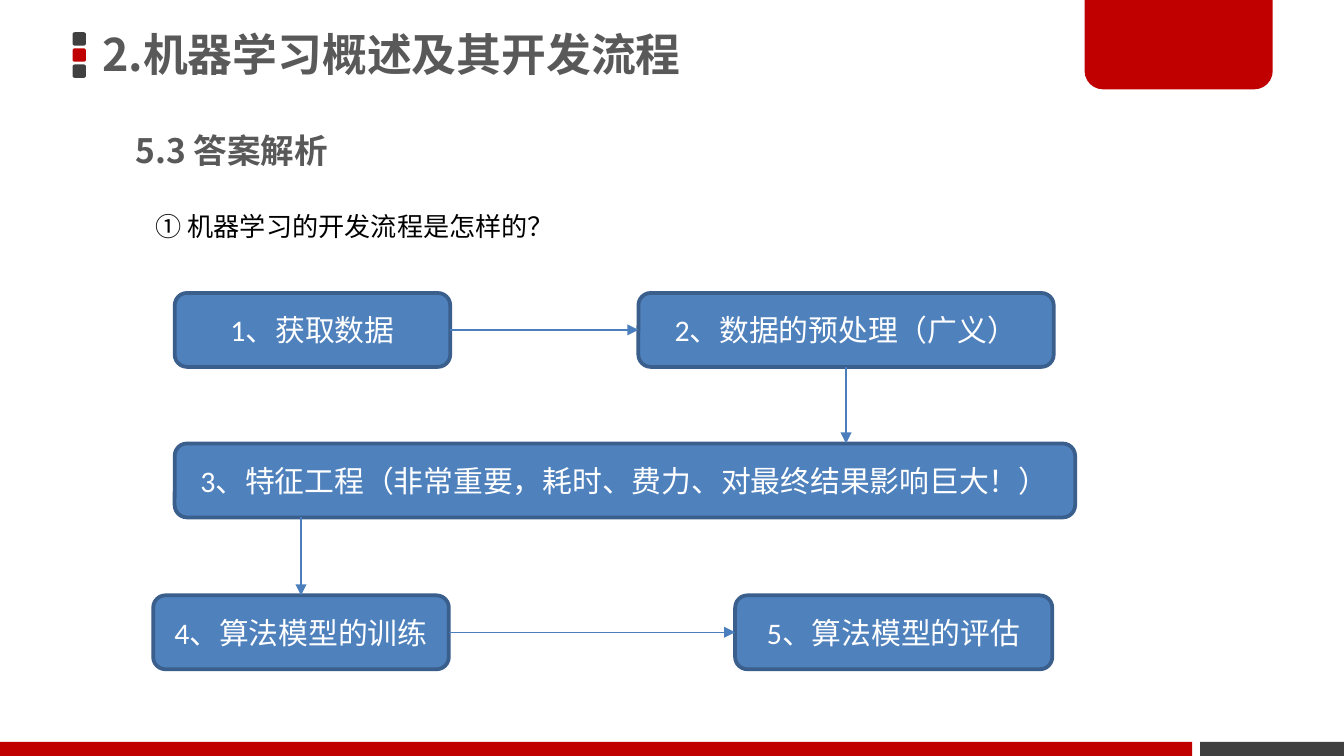
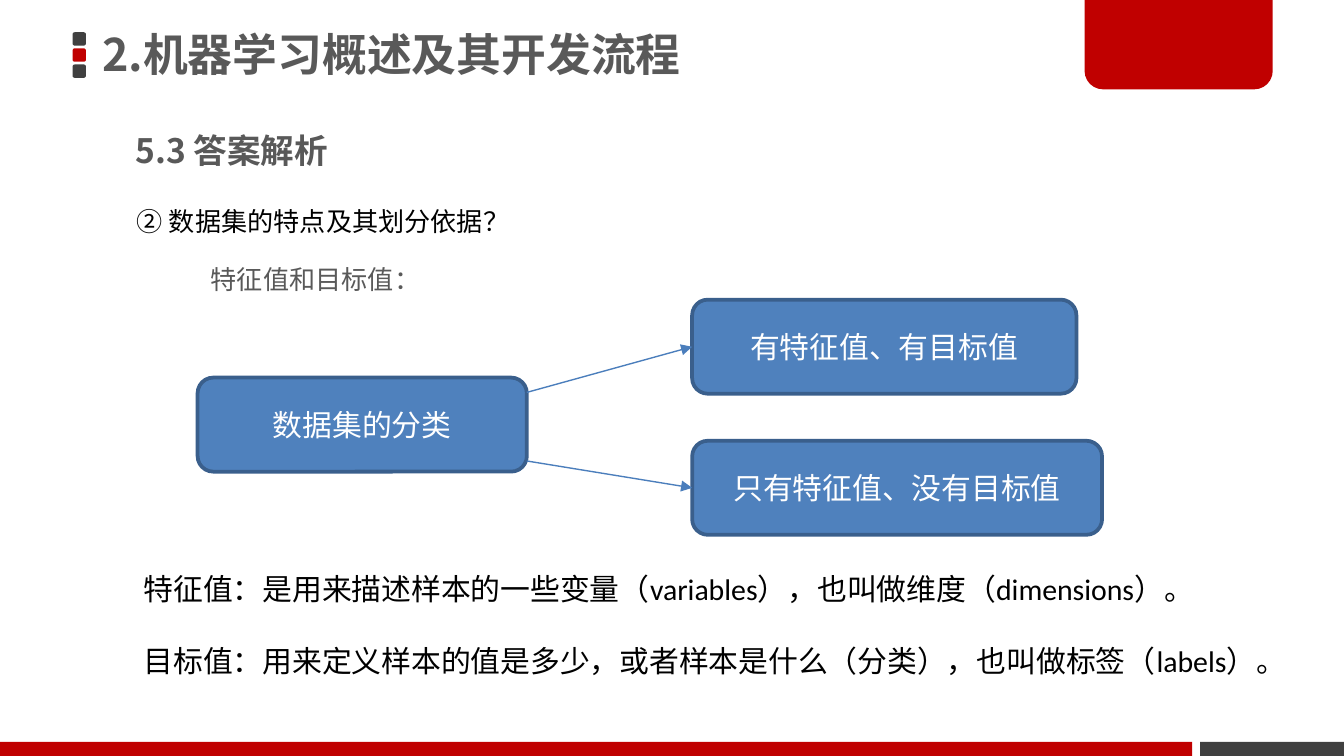
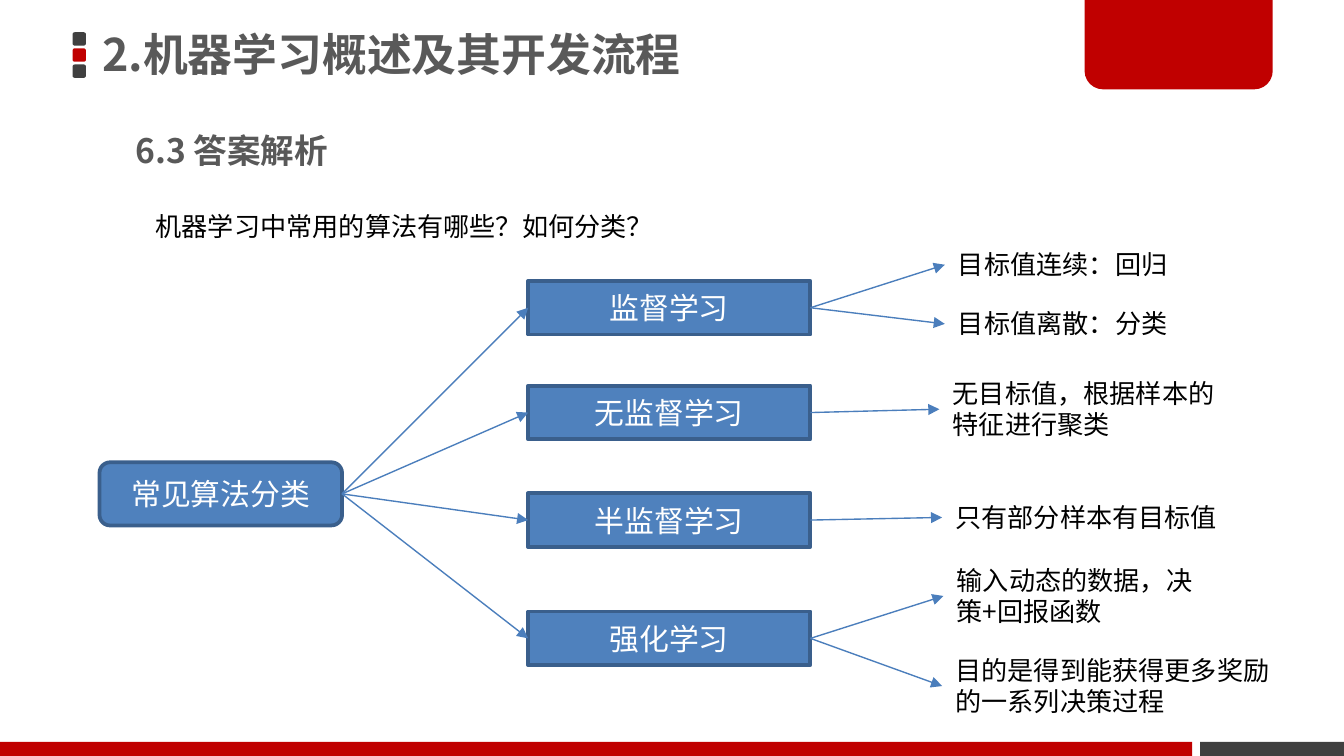
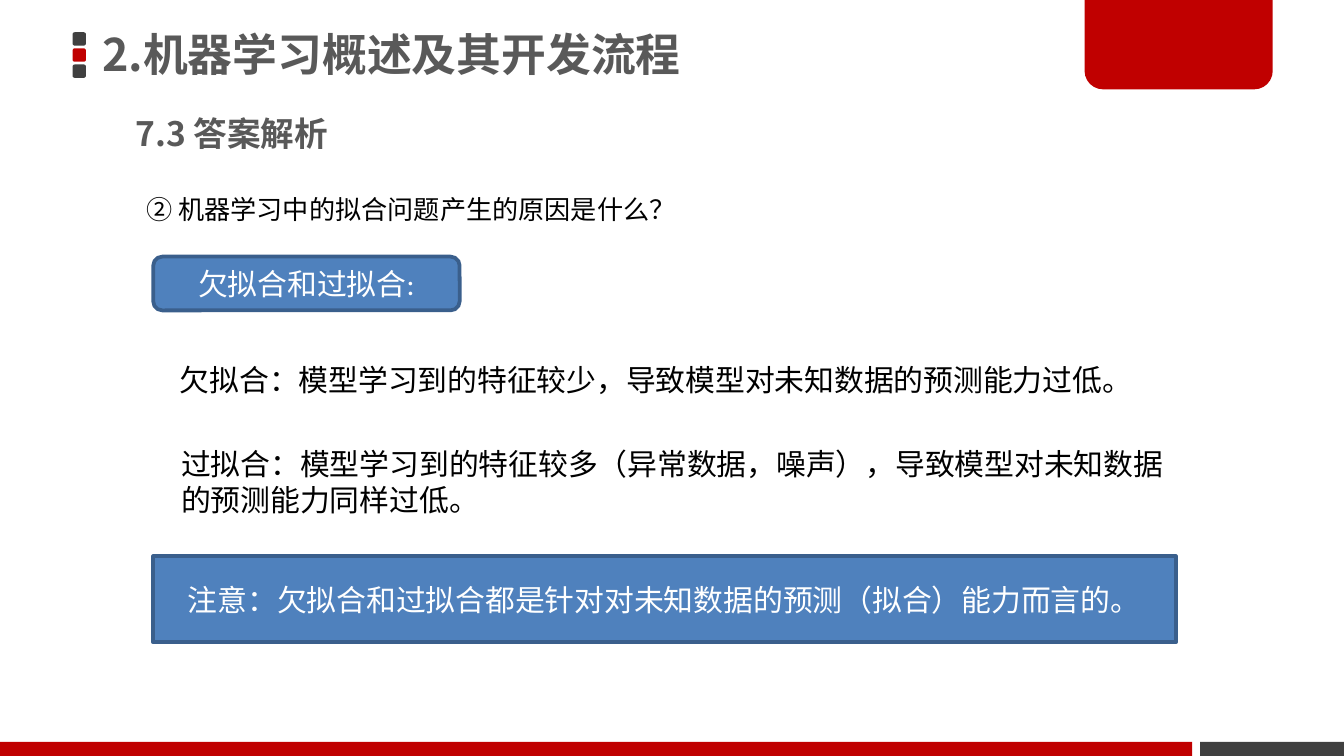
from dataclasses import dataclass
from typing import NamedTuple

from lxml.etree import SubElement
from pptx import Presentation
from pptx.dml.color import RGBColor
from pptx.enum.shapes import MSO_CONNECTOR, MSO_SHAPE
from pptx.enum.text import MSO_ANCHOR, MSO_AUTO_SIZE, PP_ALIGN
from pptx.oxml.ns import qn
from pptx.shapes.autoshape import Shape
from pptx.slide import Slide
from pptx.text.text import TextFrame
from pptx.util import Pt

PX = 4572  # 200 px to the inch
SLIDE_WIDTH, SLIDE_HEIGHT = 2000, 1125

RED, DARK, GREY = "C00000", "404040", "595959"
BLACK, WHITE = "000000", "FFFFFF"
BOX_FILL, BOX_LINE, ARROW = "4F81BD", "3A5F8C", "4B7EBC"
LATIN, CJK = "Calibri", "Noto Sans CJK SC"

RECT, ROUNDED = MSO_SHAPE.RECTANGLE, MSO_SHAPE.ROUNDED_RECTANGLE
TITLE = "2.机器学习概述及其开发流程"


class Point(NamedTuple):
    x: int
    y: int


class Box(NamedTuple):
    left: int
    top: int
    width: int
    height: int

    @property
    def left_middle(self) -> Point:
        return Point(self.left, self.top + self.height // 2)

    @property
    def right_middle(self) -> Point:
        return Point(self.left + self.width, self.top + self.height // 2)

    @property
    def top_middle(self) -> Point:
        return Point(self.left + self.width // 2, self.top)

    @property
    def bottom_middle(self) -> Point:
        return Point(self.left + self.width // 2, self.top + self.height)

    def emu(self) -> list[int]:
        return [length * PX for length in self]


@dataclass(frozen=True)
class Style:
    size: int
    font: str = CJK
    color: str = BLACK
    bold: bool = False


@dataclass(frozen=True)
class Node:
    text: str
    box: Box
    font: str = LATIN
    kind: MSO_SHAPE = ROUNDED


@dataclass(frozen=True)
class Branch:
    name: str
    top: int
    notes: tuple[tuple[str, Box], ...]


TITLE_STYLE = Style(24, color=GREY, bold=True)
HEADING = Style(18, color=GREY, bold=True)
QUESTION = Style(14)
SUBTITLE = Style(14, color=GREY)
BODY = Style(16)
BODY_LATIN = Style(16, LATIN)


def rgb(color: str) -> RGBColor:
    return RGBColor.from_string(color)


def write(frame: TextFrame, text: str, style: Style, align: PP_ALIGN = PP_ALIGN.LEFT) -> None:
    """Fill the frame, one paragraph a line."""
    frame.text = text
    for paragraph in frame.paragraphs:
        paragraph.alignment = align
        font = paragraph.font
        font.size, font.name, font.bold = Pt(style.size), style.font, style.bold
        font.color.rgb = rgb(style.color)
        defaults = paragraph._p.get_or_add_pPr().get_or_add_defRPr()
        SubElement(defaults, qn("a:ea")).set("typeface", CJK)


def add_text(slide: Slide, text: str, box: Box, style: Style, wrap: bool = False) -> TextFrame:
    frame = slide.shapes.add_textbox(*box.emu()).text_frame
    frame.word_wrap = wrap
    frame.auto_size = MSO_AUTO_SIZE.SHAPE_TO_FIT_TEXT
    write(frame, text, style)
    return frame


def add_block(slide: Slide, kind: MSO_SHAPE, box: Box, fill: str) -> Shape:
    """A plain shape without line or shadow."""
    shape = slide.shapes.add_shape(kind, *box.emu())
    shape.shadow.inherit = False
    shape.fill.solid()
    shape.fill.fore_color.rgb = rgb(fill)
    shape.line.fill.background()
    return shape


def add_node(slide: Slide, node: Node) -> None:
    shape = add_block(slide, node.kind, node.box, BOX_FILL)
    shape.line.color.rgb = rgb(BOX_LINE)
    shape.line.width = Pt(2)
    frame = shape.text_frame
    frame.word_wrap = True
    frame.vertical_anchor = MSO_ANCHOR.MIDDLE
    write(frame, node.text, Style(16, node.font, WHITE), PP_ALIGN.CENTER)


def add_arrow(slide: Slide, start: Point, end: Point) -> None:
    ends = [length * PX for length in start + end]
    connector = slide.shapes.add_connector(MSO_CONNECTOR.STRAIGHT, *ends)
    connector.line.color.rgb = rgb(ARROW)
    connector.line.width = Pt(0.75)
    SubElement(connector.line._get_or_add_ln(), qn("a:tailEnd")).set("type", "triangle")
    SubElement(connector._element.spPr, qn("a:effectLst"))


def add_slide(presentation: Presentation, heading: str, heading_top: int = 184) -> Slide:
    """A blank slide with the shared bands, title and heading."""
    slide = presentation.slides.add_slide(presentation.slide_layouts[6])
    for row, color in enumerate((DARK, RED, DARK)):
        add_block(slide, ROUNDED, Box(108, 48 + 24 * row, 20, 20), color)
    add_block(slide, RECT, Box(1786, 1104, 214, 21), DARK)
    tab = add_block(slide, MSO_SHAPE.ROUND_2_SAME_RECTANGLE, Box(1614, -4, 280, 137), RED)
    tab.adjustments[0], tab.adjustments[1] = 0, 0.2
    add_block(slide, RECT, Box(0, 1104, 1774, 21), RED)

    title = add_text(slide, TITLE, Box(138, -4, 1178, 178), TITLE_STYLE, wrap=True)
    title.auto_size = MSO_AUTO_SIZE.NONE
    title.vertical_anchor = MSO_ANCHOR.MIDDLE
    title.margin_left = title.margin_right = 14 * PX
    title.margin_top = title.margin_bottom = 8 * PX
    title.paragraphs[0].line_spacing = 0.9
    add_text(slide, heading, Box(182, heading_top, 768, 80), HEADING, wrap=True)
    return slide


def build_workflow(presentation: Presentation) -> None:
    slide = add_slide(presentation, "5.3 答案解析")
    add_text(slide, "① 机器学习的开发流程是怎样的？", Box(212, 304, 640, 68), QUESTION)
    height, rows = 110, (436, 660, 886)
    collect = Box(260, rows[0], 410, height)
    prepare = Box(950, rows[0], 618, height)
    features = Box(260, rows[1], 1340, height)
    train = Box(228, rows[2], 440, height)
    evaluate = Box(1094, rows[2], 472, height)
    for node in (
        Node("1、获取数据", collect),
        Node("2、数据的预处理（广义）", prepare),
        Node("3、特征工程（非常重要，耗时、费力、对最终结果影响巨大！）", features),
        Node("4、算法模型的训练", train),
        Node("5、算法模型的评估", evaluate),
    ):
        add_node(slide, node)
    add_arrow(slide, collect.right_middle, prepare.left_middle)
    add_arrow(slide, train.right_middle, evaluate.left_middle)
    below_prepare = prepare.bottom_middle
    add_arrow(slide, below_prepare, Point(below_prepare.x, features.top))
    above_train = train.top_middle
    add_arrow(slide, Point(above_train.x, features.bottom_middle.y), above_train)


def build_datasets(presentation: Presentation) -> None:
    slide = add_slide(presentation, "5.3 答案解析")
    add_text(slide, "② 数据集的特点及其划分依据？", Box(184, 296, 618, 68), QUESTION)
    add_text(slide, "特征值和目标值：", Box(294, 382, 354, 68), SUBTITLE)
    height = 140
    datasets = Box(294, 562, 490, height)
    labelled = Box(1030, 446, 572, height)
    unlabelled = Box(1030, 656, 610, height)
    add_node(slide, Node("数据集的分类", datasets))
    add_node(slide, Node("有特征值、有目标值", labelled))
    add_node(slide, Node("只有特征值、没有目标值", unlabelled))
    for target, start_y in ((labelled, 584), (unlabelled, 686)):
        add_arrow(slide, Point(datasets.right_middle.x, start_y), target.left_middle)
    add_text(slide, "特征值：是用来描述样本的一些变量（variables），也叫做维度（dimensions）。",
             Box(194, 840, 1600, 74), BODY_LATIN, wrap=True)
    add_text(slide, "目标值：用来定义样本的值是多少，或者样本是什么（分类），也叫做标签（labels）。",
             Box(194, 946, 1762, 74), BODY_LATIN)


BRANCHES = (
    Branch("监督学习", 418, (
        ("目标值连续：回归", Box(1406, 360, 420, 68)),
        ("目标值离散：分类", Box(1406, 448, 448, 68)),
    )),
    Branch("无监督学习", 574, (
        ("无目标值，根据样本的特征进行聚类", Box(1398, 552, 438, 114)),
    )),
    Branch("半监督学习", 734, (
        ("只有部分样本有目标值", Box(1402, 736, 502, 68)),
    )),
    Branch("强化学习", 910, (
        ("输入动态的数据，决策+回报函数", Box(1404, 830, 406, 114)),
        ("目的是得到能获得更多奖励的一系列决策过程", Box(1402, 964, 526, 114)),
    )),
)


def build_algorithms(presentation: Presentation) -> None:
    slide = add_slide(presentation, "6.3 答案解析")
    add_text(slide, "机器学习中常用的算法有哪些？如何分类？", Box(212, 304, 786, 68), QUESTION)
    root = Box(148, 688, 361, 94)
    add_node(slide, Node("常见算法分类", root))
    for branch in BRANCHES:
        box = Box(786, branch.top, 420, 80)
        add_node(slide, Node(branch.name, box, kind=RECT))
        add_arrow(slide, root.right_middle, box.left_middle)
        for text, note in branch.notes:
            add_text(slide, text, note, QUESTION, wrap=True)
            add_arrow(slide, box.right_middle, note.left_middle)


def build_fitting(presentation: Presentation) -> None:
    slide = add_slide(presentation, "7.3 答案解析", heading_top=158)
    add_text(slide, "② 机器学习中的拟合问题产生的原因是什么？", Box(198, 278, 840, 68), QUESTION)
    add_node(slide, Node("欠拟合和过拟合:", Box(228, 382, 456, 80)))
    add_text(slide, "欠拟合：模型学习到的特征较少，导致模型对未知数据的预测能力过低。",
             Box(248, 528, 1476, 74), BODY)
    add_text(slide, "过拟合：模型学习到的特征较多（异常数据，噪声），导致模型对未知数据\n"
             "的预测能力同样过低。", Box(250, 654, 1522, 128), BODY)
    add_node(slide, Node("注意：欠拟合和过拟合都是针对对未知数据的预测（拟合）能力而言的。",
                         Box(228, 828, 1522, 128), CJK, RECT))


def main() -> None:
    presentation = Presentation()
    presentation.slide_width = SLIDE_WIDTH * PX
    presentation.slide_height = SLIDE_HEIGHT * PX
    for build in (build_workflow, build_datasets, build_algorithms, build_fitting):
        build(presentation)
    presentation.save("out.pptx")


if __name__ == "__main__":
    main()
